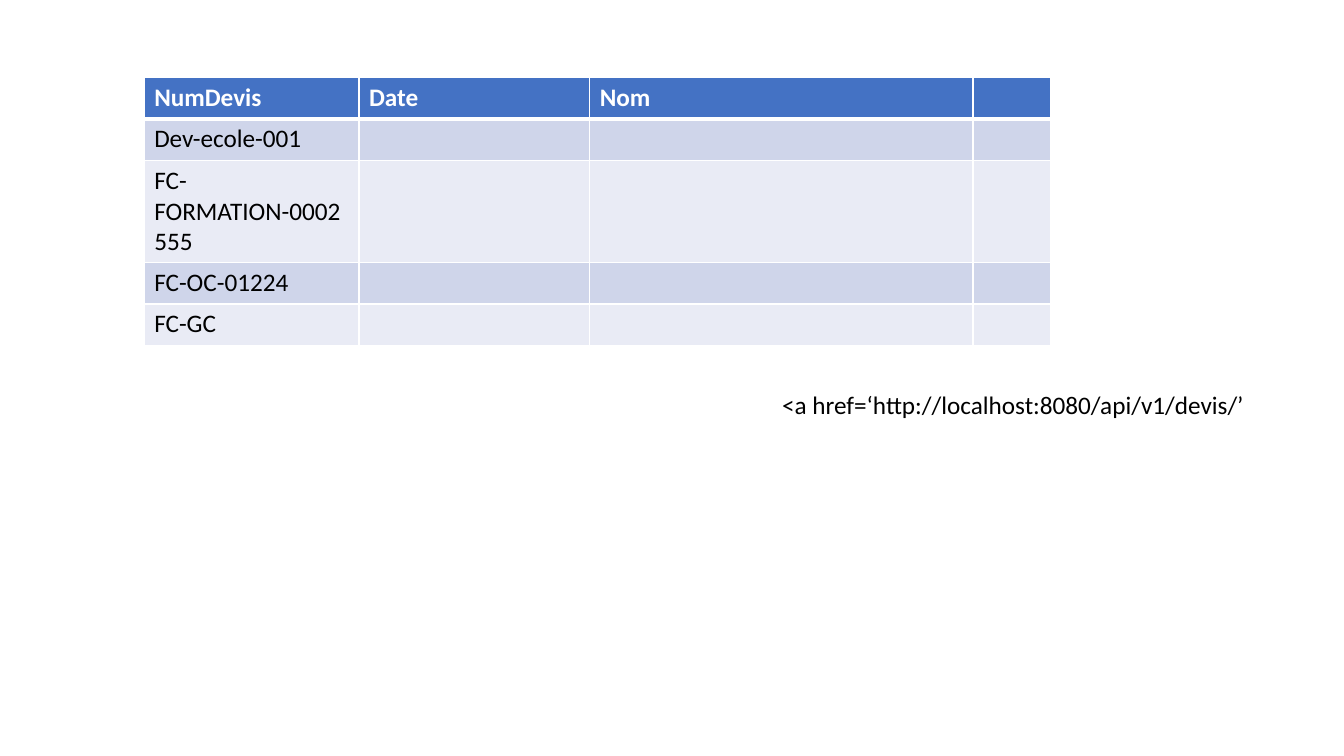
from dataclasses import dataclass

from lxml.etree import SubElement
from pptx import Presentation
from pptx.dml.color import RGBColor
from pptx.enum.text import MSO_AUTO_SIZE
from pptx.oxml.ns import qn
from pptx.util import Inches, Pt


@dataclass(frozen=True)
class Theme:
    font: str = "Calibri"
    size: int = 18
    text: str = "000000"
    header_text: str = "FFFFFF"
    header_fill: str = "4472C4"
    band_fills: tuple = ("CFD5EA", "E9EBF5")
    border: str = "FFFFFF"
    thin: int = 1
    thick: int = 3


THEME = Theme()
HEADERS = ["NumDevis", "Date", "Nom", ""]
QUOTE_NUMBERS = ["Dev-ecole-001", "FC-FORMATION-0002555", "FC-OC-01224", "FC-GC"]
COLUMN_WIDTHS = [2.13, 2.29, 3.8, 0.77]
ROW_HEIGHT = 0.41


def add_run(para, text, color, bold=False):
    span = para.add_run()
    span.text = text
    span.font.name = THEME.font
    span.font.size = Pt(THEME.size)
    span.font.bold = bold
    span.font.color.rgb = RGBColor.from_string(color)


def set_borders(cell, top, bottom):
    """Draw the four cell borders; widths are in points."""
    properties = cell._tc.get_or_add_tcPr()
    widths = {"a:lnL": THEME.thin, "a:lnR": THEME.thin, "a:lnT": top, "a:lnB": bottom}
    for tag, width in widths.items():
        line = SubElement(properties, qn(tag), w=str(Pt(width)))
        fill = SubElement(line, qn("a:solidFill"))
        SubElement(fill, qn("a:srgbClr"), val=THEME.border)


def style_cell(cell, row_index, text):
    is_header = row_index == 0
    set_borders(
        cell,
        top=THEME.thick if row_index == 1 else THEME.thin,
        bottom=THEME.thick if is_header else THEME.thin,
    )
    cell.fill.solid()
    fill = THEME.header_fill if is_header else THEME.band_fills[(row_index - 1) % 2]
    cell.fill.fore_color.rgb = RGBColor.from_string(fill)
    if text:
        color = THEME.header_text if is_header else THEME.text
        add_run(cell.text_frame.paragraphs[0], text, color, bold=is_header)


def add_quote_table(page, left, top):
    rows = [HEADERS] + [[number, "", "", ""] for number in QUOTE_NUMBERS]
    table = page.shapes.add_table(
        len(rows), len(HEADERS), Inches(left), Inches(top),
        Inches(sum(COLUMN_WIDTHS)), Inches(ROW_HEIGHT * len(rows)),
    ).table
    for column, width in zip(table.columns, COLUMN_WIDTHS):
        column.width = Inches(width)
    for row_index, texts in enumerate(rows):
        table.rows[row_index].height = Inches(ROW_HEIGHT)
        for column_index, text in enumerate(texts):
            style_cell(table.cell(row_index, column_index), row_index, text)


def add_text(page, text, left, top, width, height):
    box = page.shapes.add_textbox(Inches(left), Inches(top), Inches(width), Inches(height))
    frame = box.text_frame
    frame.word_wrap = True
    frame.auto_size = MSO_AUTO_SIZE.SHAPE_TO_FIT_TEXT
    add_run(frame.paragraphs[0], text, THEME.text)


def main():
    deck = Presentation()
    deck.slide_width = Inches(13.33)
    deck.slide_height = Inches(7.5)
    page = deck.slides.add_slide(deck.slide_layouts[6])
    add_quote_table(page, 1.43, 0.77)
    add_text(page, "<a href=‘http://localhost:8080/api/v1/devis/’", 7.66, 3.81, 5.67, 0.4)
    deck.save("out.pptx")


if __name__ == "__main__":
    main()
